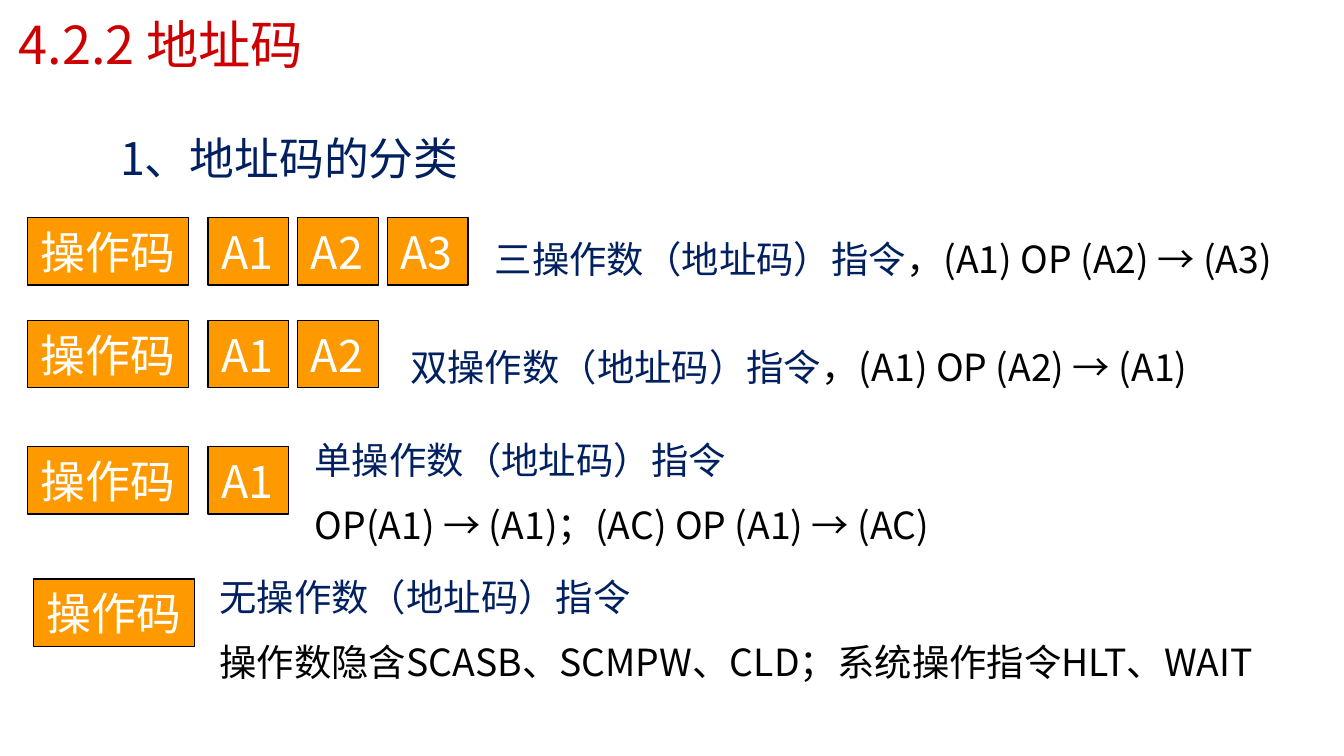
from dataclasses import dataclass

from lxml.etree import SubElement
from pptx import Presentation
from pptx.dml.color import RGBColor as RGB
from pptx.enum.shapes import MSO_SHAPE as SHAPE
from pptx.enum.text import MSO_ANCHOR as ANCHOR, MSO_AUTO_SIZE as FIT, PP_ALIGN as ALIGN
from pptx.oxml.ns import qn
from pptx.util import Inches, Pt


@dataclass(frozen=True)
class Theme:
    font: str = "Noto Sans CJK SC"
    red: str = "CC0000"
    navy: str = "002060"
    black: str = "000000"
    white: str = "FFFFFF"
    orange: str = "FF9900"
    title: int = 28
    heading: int = 24
    field: int = 24
    body: int = 20
    heading_line: int = 40
    body_line: int = 35
    border: float = 0.75


T = Theme()
W = 10
H = W * 9 / 16
COL, ROW = W / 100, H / 100
FIELD_H = 8.9
OPCODE_W = 12
ADDRESS_W = 6
ADDRESS_START = 13.45
ADDRESS_STEP = 6.67


def place(box):
    x, y, w, h = box
    return Inches(x * COL), Inches(y * ROW), Inches(w * COL), Inches(h * ROW)


def add_run(p, text, size, color):
    r = p.add_run()
    r.text = text
    r.font.size = Pt(size)
    r.font.color.rgb = RGB.from_string(color)
    r.font.name = T.font
    SubElement(r.font._element, qn("a:ea"), typeface=T.font)


def add_panel(shapes, box, text, size, color, fill, border=None, wrap=True):
    sp = shapes.add_shape(SHAPE.RECTANGLE, *place(box))
    sp.shadow.inherit = False
    sp.fill.solid()
    sp.fill.fore_color.rgb = RGB.from_string(fill)
    if border:
        sp.line.color.rgb = RGB.from_string(border)
        sp.line.width = Pt(T.border)
    else:
        sp.line.fill.background()
    tf = sp.text_frame
    tf.word_wrap = wrap
    tf.auto_size = FIT.NONE
    tf.vertical_anchor = ANCHOR.MIDDLE
    p = tf.paragraphs[0]
    p.alignment = ALIGN.LEFT
    add_run(p, text, size, color)


def add_text(s, box, lines, size, spacing, indent=0):
    tf = s.shapes.add_textbox(*place(box)).text_frame
    tf.word_wrap = True
    tf.auto_size = FIT.SHAPE_TO_FIT_TEXT
    for i, runs in enumerate(lines):
        p = tf.add_paragraph() if i else tf.paragraphs[0]
        p.line_spacing = Pt(spacing)
        if indent:
            p._p.get_or_add_pPr().set("marL", str(Inches(indent * COL)))
        for text, color in runs:
            add_run(p, text, size, color)


def add_title(s, box):
    add_panel(s.shapes, box, "4.2.2 地址码", T.title, T.red, T.white)


def add_heading(s, box):
    add_text(s, box, [[("1、地址码的分类", T.navy)]],
             T.heading, T.heading_line, indent=5.25)


def add_format(s, x, y, count):
    shapes = s.shapes.add_group_shape().shapes if count else s.shapes
    fields = [("操作码", 0, OPCODE_W)]
    fields += [(f"A{i + 1}", ADDRESS_START + i * ADDRESS_STEP, ADDRESS_W)
               for i in range(count)]
    for text, dx, w in fields:
        add_panel(shapes, (x + dx, y, w, FIELD_H), text, T.field,
                  T.white, T.orange, border=T.black, wrap=False)


def add_note(s, box, name, detail, stacked):
    head, tail = (name, T.navy), (detail, T.black)
    lines = [[head], [tail]] if stacked else [[head, tail]]
    add_text(s, box, lines, T.body, T.body_line)


FORMATS = [
    (2.03, 28.8, 3, (35.83, 27.6, 61.4, 10.4),
     "三操作数（地址码）指令", "，(A1) OP (A2) → (A3)", False),
    (2.03, 42.4, 2, (29.53, 41.9, 61.4, 10.4),
     "双操作数（地址码）指令", "，(A1) OP (A2) → (A1)", False),
    (2.03, 59.1, 1, (22.43, 54.2, 77.6, 19),
     "单操作数（地址码）指令", "OP(A1) → (A1)；(AC) OP (A1) → (AC)", True),
    (2.5, 76.6, 0, (15.33, 72.3, 82.2, 27.7),
     "无操作数（地址码）指令", "操作数隐含SCASB、SCMPW、CLD；系统操作指令HLT、WAIT", True),
]


def main():
    prs = Presentation()
    prs.slide_width, prs.slide_height = Inches(W), Inches(H)
    s = prs.slides.add_slide(prs.slide_layouts[6])
    add_title(s, (0.4, 0.7, 85.9, 10.1))
    add_heading(s, (2.7, 13.6, 94.5, 11.7))
    for x, y, count, box, name, detail, stacked in FORMATS:
        add_format(s, x, y, count)
        add_note(s, box, name, detail, stacked)
    prs.save("out.pptx")


if __name__ == "__main__":
    main()
